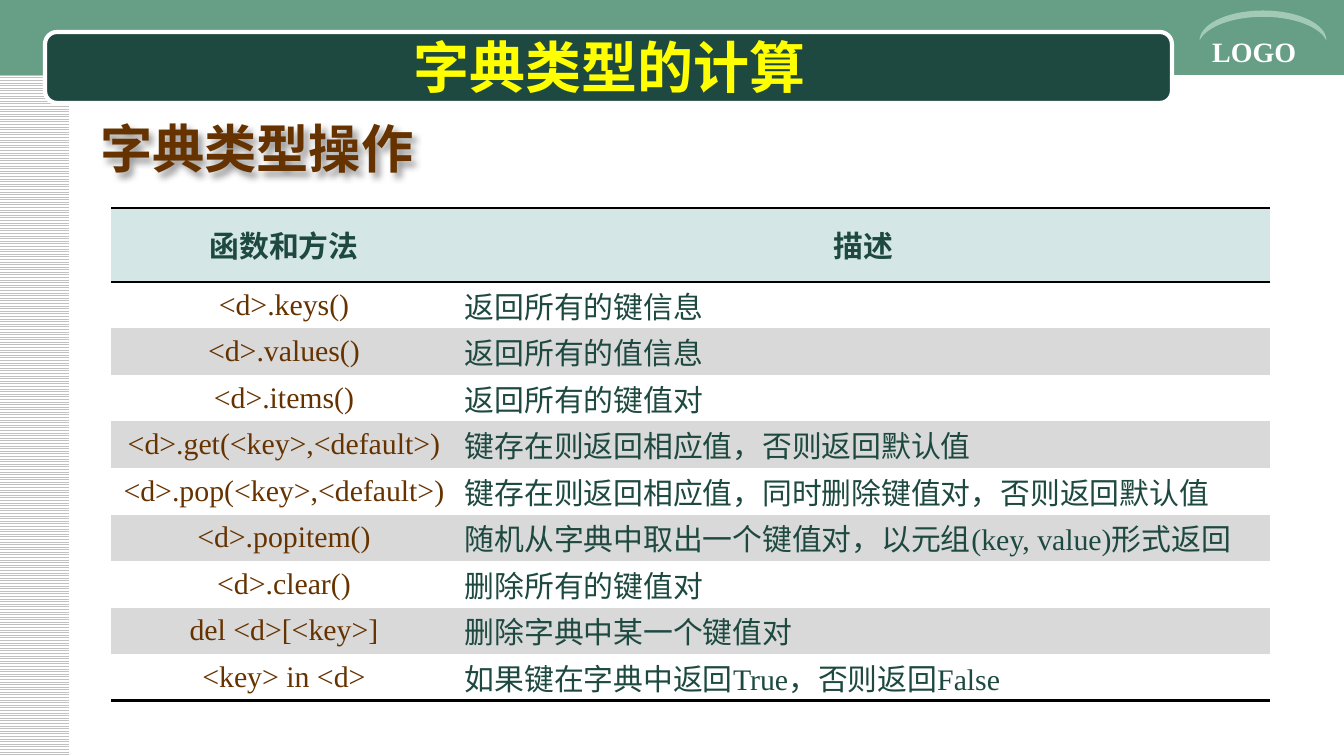
import pptx
import pptx.util
from lxml import etree
from pptx.dml.color import RGBColor
from pptx.enum.dml import MSO_PATTERN
from pptx.enum.shapes import MSO_SHAPE
from pptx.enum.text import MSO_ANCHOR, MSO_AUTO_SIZE, PP_ALIGN
from pptx.oxml.ns import qn

EMU_PER_PX = 914400 / 134.4

WHITE = RGBColor(0xFF, 0xFF, 0xFF)
SILVER = RGBColor(0xC0, 0xC0, 0xC0)
STRIPE = RGBColor(0xD9, 0xD9, 0xD9)
GREEN = RGBColor(0x66, 0x9E, 0x86)
DARK_GREEN = RGBColor(0x1D, 0x49, 0x40)
PALE_GREEN = RGBColor(0xA2, 0xCA, 0xB4)
HEADER_FILL = RGBColor(0xD4, 0xE7, 0xE6)
YELLOW = RGBColor(0xFF, 0xFF, 0x00)
BROWN = RGBColor(0x66, 0x33, 0x00)

CJK = "Noto Sans CJK SC"
SERIF = "Times New Roman"

HEADINGS = ("函数和方法", "描述")
OPERATIONS = [
    ("<d>.keys()", "返回所有的键信息"),
    ("<d>.values()", "返回所有的值信息"),
    ("<d>.items()", "返回所有的键值对"),
    ("<d>.get(<key>,<default>)", "键存在则返回相应值，否则返回默认值"),
    ("<d>.pop(<key>,<default>)", "键存在则返回相应值，同时删除键值对，否则返回默认值"),
    ("<d>.popitem()", "随机从字典中取出一个键值对，以元组(key, value)形式返回"),
    ("<d>.clear()", "删除所有的键值对"),
    ("del <d>[<key>]", "删除字典中某一个键值对"),
    ("<key> in <d>", "如果键在字典中返回True，否则返回False"),
]


def px(length):
    return pptx.util.Emu(round(length * EMU_PER_PX))


def box(left, top, width, height):
    return px(left), px(top), px(width), px(height)


def write(frame, text, size, color, latin, bold=False, align=PP_ALIGN.LEFT):
    frame.text = text
    paragraph = frame.paragraphs[0]
    paragraph.alignment = align
    for run in paragraph.runs:
        font = run.font
        font.size, font.bold, font.name = pptx.util.Pt(size), bold, latin
        font.color.rgb = color
        etree.SubElement(font._element, qn("a:ea"), typeface=CJK)


def add_panel(slide, preset, place, color, adjustment=None):
    panel = slide.shapes.add_shape(preset, *box(*place))
    panel.shadow.inherit = False
    panel.fill.solid()
    panel.fill.fore_color.rgb = color
    panel.line.fill.background()
    if adjustment is not None:
        panel.adjustments[0] = adjustment
    return panel


def add_label(slide, place, text, size, color, latin):
    label = slide.shapes.add_textbox(*box(*place))
    label.text_frame.word_wrap = True
    write(label.text_frame, text, size, color, latin, bold=True)
    return label


def add_soft_shadow(shape):
    effects = etree.SubElement(shape._element.spPr, qn("a:effectLst"))
    shadow = etree.SubElement(effects, qn("a:outerShdw"), blurRad="50800",
                              dist="38100", dir="2700000", algn="tl", rotWithShape="0")
    tint = etree.SubElement(shadow, qn("a:prstClr"), val="black")
    etree.SubElement(tint, qn("a:alpha"), val="40000")


def set_borders(cell, ruled_sides):
    properties = cell._tc.get_or_add_tcPr()
    for side in "LRTB":
        ruled = side in ruled_sides
        width = pptx.util.Pt(1.5) if ruled else 0
        line = etree.SubElement(properties, qn("a:ln" + side), w=str(width))
        if ruled:
            fill = etree.SubElement(line, qn("a:solidFill"))
            etree.SubElement(fill, qn("a:srgbClr"), val="000000")
        else:
            etree.SubElement(line, qn("a:noFill"))


def fill_cell(cell, text, color, latin, background, ruled_sides, bold, align):
    cell.margin_left = cell.margin_right = px(8)
    cell.margin_top = cell.margin_bottom = 0
    cell.vertical_anchor = MSO_ANCHOR.MIDDLE
    set_borders(cell, ruled_sides)
    cell.fill.solid()
    cell.fill.fore_color.rgb = background
    write(cell.text_frame, text, 16, color, latin, bold, align)


def add_operations_table(slide):
    header_height, body_height = 74, 419
    count = len(OPERATIONS)
    table = slide.shapes.add_table(
        count + 1, 2, *box(111, 208, 1159, header_height + body_height)).table
    table.columns[0].width, table.columns[1].width = px(346), px(813)
    table.rows[0].height = px(header_height)
    for column, heading in enumerate(HEADINGS):
        fill_cell(table.cell(0, column), heading, DARK_GREEN, CJK, HEADER_FILL,
                  "TB", True, PP_ALIGN.CENTER)
    for row, (call, description) in enumerate(OPERATIONS, start=1):
        table.rows[row].height = px(body_height / count)
        background = WHITE if row % 2 else STRIPE
        ruled_sides = {1: "T", count: "B"}.get(row, "")
        fill_cell(table.cell(row, 0), call, BROWN, SERIF, background,
                  ruled_sides, False, PP_ALIGN.CENTER)
        fill_cell(table.cell(row, 1), description, DARK_GREEN, SERIF, background,
                  ruled_sides, False, PP_ALIGN.LEFT)


def add_frame(slide):
    # Striped left margin
    margin = add_panel(slide, MSO_SHAPE.RECTANGLE, (-1, 0, 70, 756), WHITE)
    margin.fill.patterned()
    margin.fill.pattern = MSO_PATTERN.LIGHT_HORIZONTAL
    margin.fill.fore_color.rgb = SILVER
    margin.fill.back_color.rgb = WHITE

    # Top band and title plate
    add_panel(slide, MSO_SHAPE.RECTANGLE, (0, 0, 1345, 75), GREEN)
    plate = add_panel(slide, MSO_SHAPE.ROUNDED_RECTANGLE, (45, 32, 1127, 71),
                      DARK_GREEN, 0.17)
    plate.line.color.rgb = WHITE
    plate.line.width = pptx.util.Pt(2.25)

    # Corner mark
    add_label(slide, (1199, 28, 145, 47), "LOGO", 15, WHITE, SERIF)
    arc = add_panel(slide, MSO_SHAPE.MOON, (1248, -38, 30, 127), PALE_GREEN, 0.21)
    arc.rotation = 90


def add_title(slide, text):
    title = slide.shapes.title
    title.left, title.top, title.width, title.height = box(67, 35, 1086, 62)
    frame = title.text_frame
    frame.auto_size = MSO_AUTO_SIZE.NONE
    frame.vertical_anchor = MSO_ANCHOR.MIDDLE
    write(frame, text, 30, YELLOW, CJK, True, PP_ALIGN.CENTER)
    # Bring the title in front of its plate
    title._element.getparent().append(title._element)


def main():
    deck = pptx.Presentation()
    deck.slide_width, deck.slide_height = px(1344), px(756)
    slide = deck.slides.add_slide(deck.slide_layouts[5])
    add_frame(slide)
    add_title(slide, "字典类型的计算")
    subtitle = add_label(slide, (87, 110, 458, 77), "字典类型操作", 28, BROWN, CJK)
    add_soft_shadow(subtitle)
    add_operations_table(slide)
    deck.save("out.pptx")


if __name__ == "__main__":
    main()
